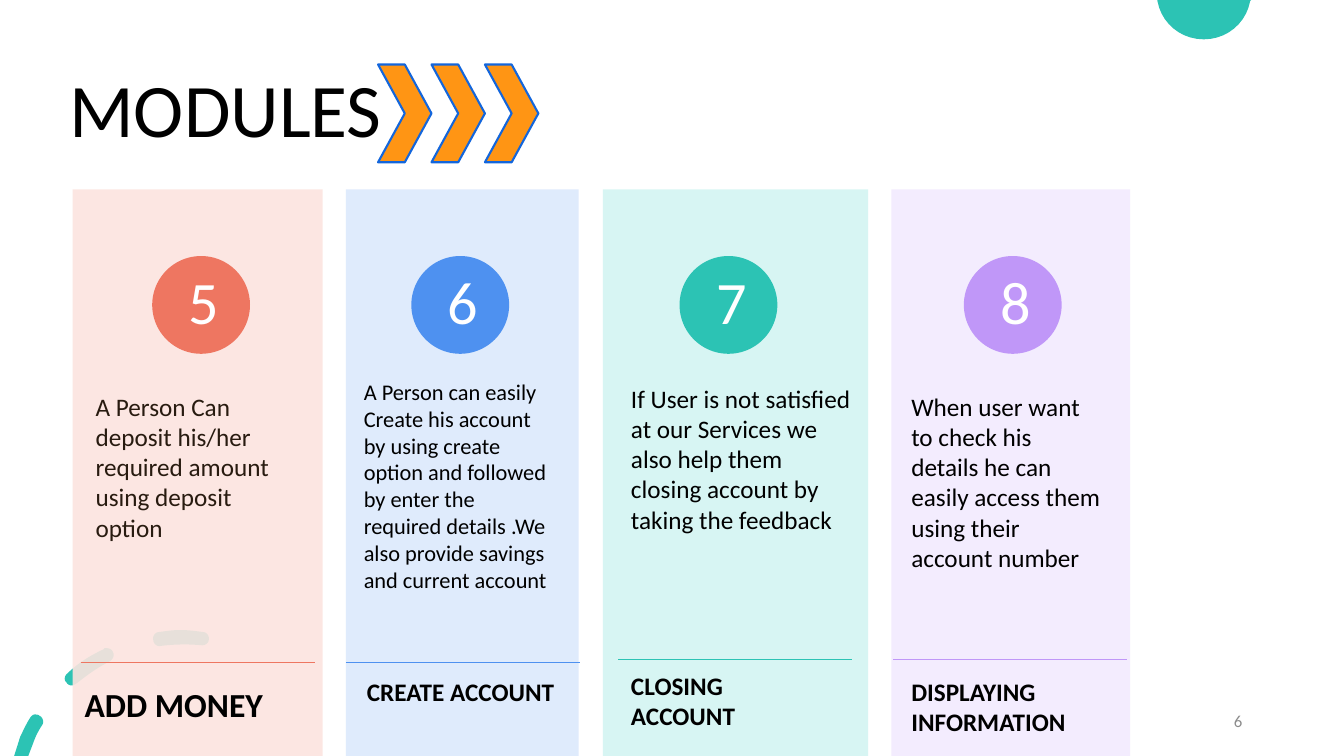
from pptx import Presentation
from pptx.dml.color import RGBColor
from pptx.enum.shapes import MSO_CONNECTOR as Connector, MSO_SHAPE as Shape
from pptx.enum.text import MSO_ANCHOR as Anchor, PP_ALIGN as Align
from pptx.oxml.ns import qn
from pptx.util import Inches, Pt
from lxml.etree import SubElement

FONT = "Calibri"
BLACK = "000000"
TEAL = "2CC3B4"
CURVE_STEPS = 10

# Outlines: a start point, then lines (x, y) or cubic curves (six numbers).
TOP_DISC = [
    [(11.48, 0), (12.41, 0), (12.4, 0.01), (12.36, 0.23, 12.17, 0.39, 11.94, 0.39),
     (11.71, 0.39, 11.52, 0.23, 11.48, 0.01)],
]
CORNER_DASHES = [
    [(0.36, 7.09), (0.34, 7.08, 0.31, 7.1, 0.3, 7.12), (0.26, 7.18, 0.23, 7.25, 0.2, 7.31),
     (0.14, 7.5), (0.28, 7.5), (0.33, 7.37), (0.35, 7.31, 0.38, 7.25, 0.42, 7.19),
     (0.44, 7.16, 0.42, 7.11, 0.39, 7.1), (0.38, 7.09, 0.37, 7.09, 0.36, 7.09)],
    [(1.05, 6.43), (1.04, 6.43, 1.03, 6.43, 1.03, 6.44), (0.9, 6.5, 0.77, 6.58, 0.67, 6.68),
     (0.64, 6.7, 0.63, 6.75, 0.66, 6.77), (0.67, 6.79, 0.69, 6.8, 0.71, 6.8),
     (0.73, 6.8, 0.74, 6.79, 0.76, 6.78), (0.86, 6.7, 0.97, 6.62, 1.09, 6.56),
     (1.12, 6.54, 1.14, 6.5, 1.12, 6.47), (1.11, 6.44, 1.08, 6.43, 1.05, 6.43)],
    [(1.79, 6.25), (1.72, 6.25, 1.65, 6.26, 1.58, 6.27), (1.54, 6.27, 1.51, 6.31, 1.52, 6.35),
     (1.52, 6.38, 1.55, 6.41, 1.58, 6.41), (1.73, 6.39, 1.86, 6.39, 1.99, 6.4),
     (2.03, 6.41, 2.07, 6.38, 2.07, 6.35), (2.08, 6.31, 2.05, 6.27, 2.01, 6.27),
     (1.94, 6.26, 1.86, 6.25, 1.79, 6.25)],
]

# Boxes are (left, top, width, height); rule is (left, top).
MODULES = [
    dict(number="5", accent="EE7661", tint="FCE4DF", panel=(0.72, 1.88, 2.48, 6.13),
         rule=(0.8, 6.57), disc_left=1.51,
         body="A Person Can deposit his/her required amount using deposit option",
         body_box=(0.85, 3.83, 2.26, 1.62), body_size=18, body_color="281B10",
         name="ADD MONEY", name_box=(0.74, 6.74, 2.48, 0.5), name_size=24),
    dict(number="6", accent="4E91F0", tint="DCE9FC", panel=(3.43, 1.88, 2.31, 6.13),
         rule=(3.43, 6.57), disc_left=4.08,
         body="A Person can easily Create his account by using create option and followed "
              "by enter the required details .We also provide savings and current account",
         body_box=(3.51, 3.7, 2.09, 2.79), body_size=16, body_color=BLACK,
         name="CREATE ACCOUNT", name_box=(3.54, 6.66, 2.19, 0.71), name_size=18),
    dict(number="7", accent=TEAL, tint="D3F5F2", panel=(5.98, 1.88, 2.63, 6.08),
         rule=(6.13, 6.54), disc_left=6.74,
         body="If User is not satisfied at our Services we also help them closing account "
              "by taking the feedback",
         body_box=(6.16, 3.75, 2.41, 1.92), body_size=18, body_color=BLACK,
         name="CLOSING ACCOUNT", name_box=(6.16, 6.6, 2.19, 0.71), name_size=18),
    dict(number="8", accent="C097F8", tint="F2EAFE", panel=(8.84, 1.88, 2.37, 6.08),
         rule=(8.86, 6.54), disc_left=9.56,
         body="When user want to check his details he can easily access them using their "
              "account number",
         body_box=(8.94, 3.83, 2.09, 1.92), body_size=18, body_color=BLACK,
         name="DISPLAYING INFORMATION", name_box=(8.94, 6.66, 2.28, 0.71), name_size=18),
]


def rgb(color):
    return RGBColor.from_string(color)


def paint(shape, fill, line=None, line_width=1):
    shape.shadow.inherit = False
    shape.fill.solid()
    shape.fill.fore_color.rgb = rgb(fill)
    if line:
        shape.line.color.rgb = rgb(line)
        shape.line.width = Pt(line_width)
    else:
        shape.line.fill.background()


def add_preset(page, kind, box, fill, line=None, line_width=1):
    shape = page.shapes.add_shape(kind, *map(Inches, box))
    paint(shape, fill, line, line_width)
    return shape


def set_opacity(shape, percent):
    color = shape.fill._xPr.find(qn("a:solidFill"))[0]
    SubElement(color, qn("a:alpha")).set("val", str(percent * 1000))


def trace(contour):
    """Turn the lines and curves of a contour into points in EMU."""
    points = [contour[0]]
    for segment in contour[1:]:
        if len(segment) == 2:
            points.append(segment)
            continue
        start = points[-1]
        first, second, end = segment[:2], segment[2:4], segment[4:]
        for step in range(1, CURVE_STEPS + 1):
            t = step / CURVE_STEPS
            u = 1 - t
            points.append(tuple(
                u ** 3 * a + 3 * u * u * t * b + 3 * u * t * t * c + t ** 3 * d
                for a, b, c, d in zip(start, first, second, end)))
    return [(Inches(x), Inches(y)) for x, y in points]


def add_outline(page, contours, fill):
    outlines = [trace(contour) for contour in contours]
    builder = page.shapes.build_freeform(*outlines[0][0])
    for index, points in enumerate(outlines):
        if index:
            builder.move_to(*points[0])
        builder.add_line_segments(points[1:], close=True)
    paint(builder.convert_to_shape(), fill)


def write(shape, text, size, color, bold=False, align=Align.LEFT, anchor=Anchor.TOP, spacing=1.0):
    frame = shape.text_frame
    frame.word_wrap = True
    frame.vertical_anchor = anchor
    para = frame.paragraphs[0]
    para.alignment = align
    para.line_spacing = spacing
    span = para.add_run()
    span.text = text
    span.font.name = FONT
    span.font.size = Pt(size)
    span.font.bold = bold
    span.font.color.rgb = rgb(color)


def add_text(page, box, *args, **style):
    write(page.shapes.add_textbox(*map(Inches, box)), *args, **style)


def add_rule(page, left, top, color):
    rule = page.shapes.add_connector(
        Connector.STRAIGHT, Inches(left), Inches(top), Inches(left + 2.32), Inches(top))
    rule.line.color.rgb = rgb(color)
    rule.line.width = Pt(1)
    SubElement(rule._element.spPr, qn("a:effectLst"))


def add_module(page, module):
    panel = add_preset(page, Shape.RECTANGLE, module["panel"], module["tint"])
    set_opacity(panel, 90)
    add_rule(page, *module["rule"], module["accent"])
    disc = add_preset(page, Shape.OVAL, (module["disc_left"], 2.54, 0.97, 0.97), module["accent"])
    frame = disc.text_frame
    frame.margin_left = frame.margin_right = Inches(0.22)
    frame.margin_top = frame.margin_bottom = Inches(0.16)
    write(disc, module["number"], 43, "FFFFFF",
          align=Align.CENTER, anchor=Anchor.MIDDLE, spacing=0.9)
    add_text(page, module["body_box"], module["body"], module["body_size"], module["body_color"])
    add_text(page, module["name_box"], module["name"], module["name_size"], BLACK, bold=True)


def main():
    deck = Presentation()
    deck.slide_width, deck.slide_height = Inches(13.33), Inches(7.5)
    page = deck.slides.add_slide(deck.slide_layouts[6])
    add_outline(page, TOP_DISC, TEAL)
    add_outline(page, CORNER_DASHES, TEAL)
    add_text(page, (0.59, 0.4, 11.5, 1.45), "MODULES", 54, BLACK,
             anchor=Anchor.MIDDLE, spacing=0.9)
    for index in range(3):
        add_preset(page, Shape.CHEVRON, (3.75 + 0.53 * index, 0.64, 0.53, 0.97),
                   "FF9514", "1366DC", 1.5)
    for module in MODULES:
        add_module(page, module)
    add_text(page, (9.42, 6.95, 3, 0.4), "6", 12, "8C8C8C",
             align=Align.RIGHT, anchor=Anchor.MIDDLE)
    deck.save("out.pptx")


if __name__ == "__main__":
    main()
